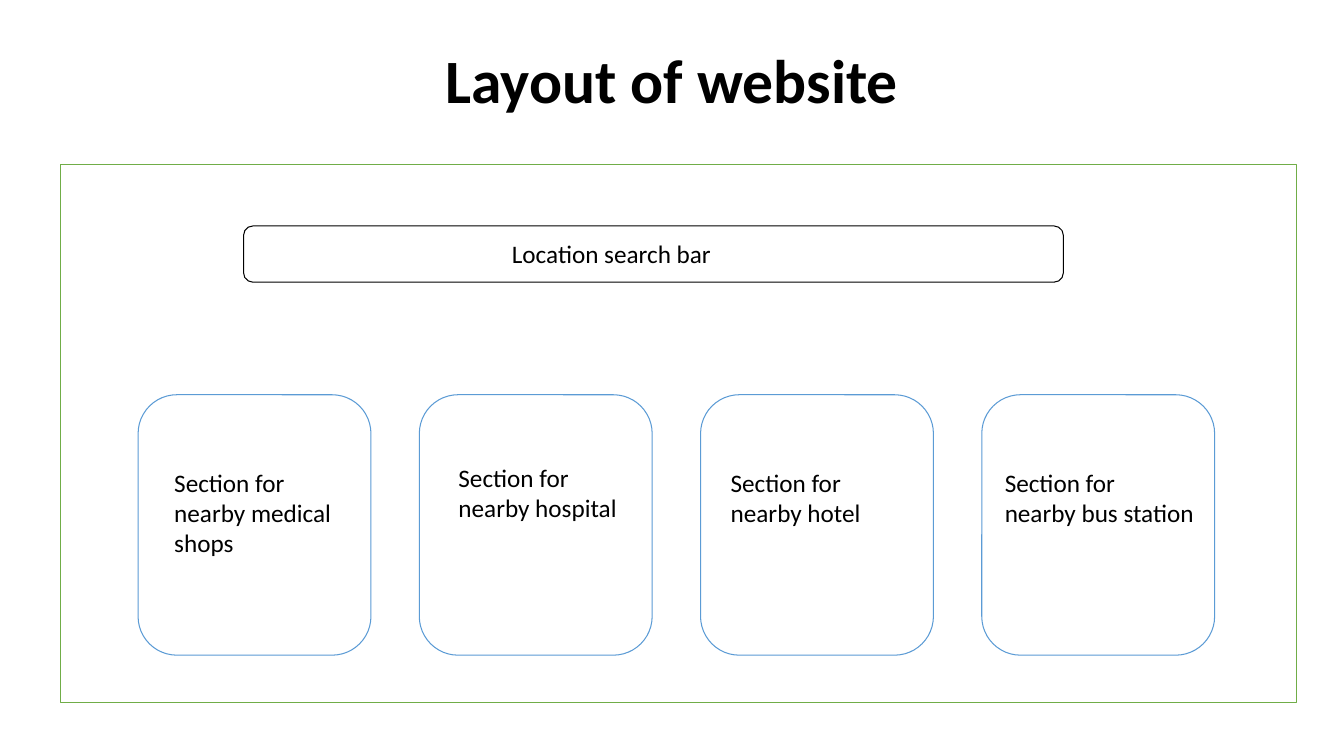
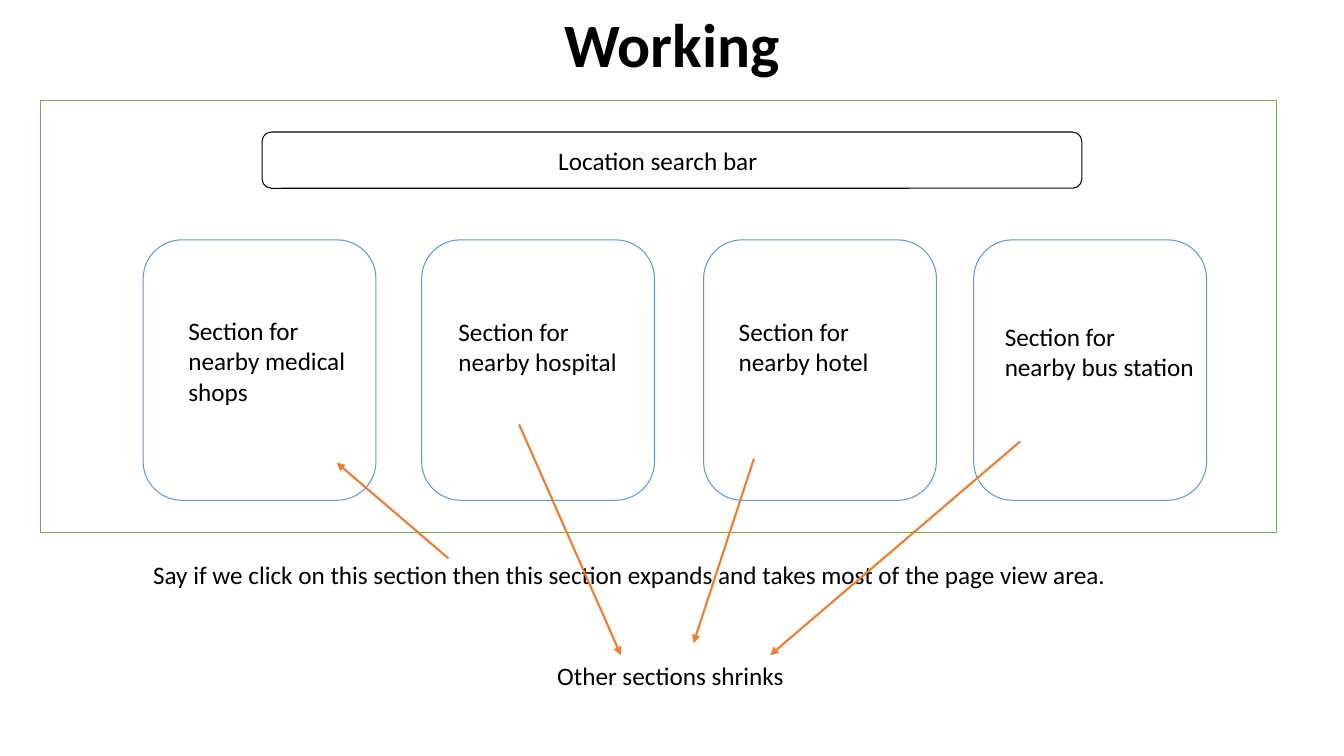
from dataclasses import dataclass
from lxml.etree import SubElement
from pptx import Presentation
from pptx.dml.color import RGBColor
from pptx.enum.shapes import MSO_CONNECTOR, MSO_SHAPE
from pptx.enum.text import MSO_ANCHOR, PP_ALIGN
from pptx.oxml.ns import qn
from pptx.util import Inches, Pt


@dataclass(frozen=True)
class Theme:
    font: str = "Calibri"
    ink: str = "000000"
    frame: str = "70AD47"
    card: str = "5B9BD5"
    arrow: str = "ED7D31"
    head: int = 44
    body: int = 18
    thin: float = 0.75
    thick: float = 1.5


COLS, ROWS = 80, 45
CARD = (13.86, 15.5)
BAR = (48.8, 3.35)
LABEL = (13.2, 2.4)

SECTIONS = [
    (["Section for", "nearby medical", "shops"], 10.68, 6.06),
    (["Section for", "nearby hospital"], 10.74, 6.06),
    (["Section for", "nearby hotel"], 9.06, 6.06),
    (["Section for", "nearby bus station"], 12.6, 4.26),
]

PAGES = [
    {
        "title": ("Layout of website", 0.6, 8.7),
        "frame": (3.6, 9.8, 73.6, 32),
        "bar": (14.5, 13.45),
        "label": (29.88, 13.92),
        "cards": [8.22 + 16.74 * i for i in range(4)],
        "top": 23.5,
        "texts": [(9.78, 27.5), (26.7, 27.2), (42.9, 27.5), (59.22, 27.5)],
        "notes": [],
        "arrows": [],
    },
    {
        "title": ("Working", 0, 5.64),
        "frame": (2.4, 6, 73.6, 25.7),
        "bar": (15.6, 7.86),
        "label": (32.64, 8.34),
        "cards": [8.52, 25.1, 41.88, 57.96],
        "top": 14.28,
        "texts": [(10.62, 18.48), (26.7, 18.54), (43.38, 18.54), (59.22, 18.84)],
        "notes": [
            ("Say if we click on this section then this section expands "
             "and takes most of the page view area.", (8.52, 33, 58.98, 2.4)),
            ("Other sections shrinks", (32.58, 39, 14.82, 2.4)),
        ],
        "arrows": [
            (26.7, 33.24, 20.04, 27.54),
            (30.9, 25.26, 36.96, 39),
            (44.88, 27.3, 41.28, 38.28),
            (60.72, 26.28, 45.84, 39),
        ],
    },
]


class Deck:
    def __init__(self, theme):
        self.theme = theme
        self.show = Presentation()
        self.show.slide_width = Inches(13.333)
        self.show.slide_height = Inches(7.5)
        self.slide = None

    def page(self):
        self.slide = self.show.slides.add_slide(self.show.slide_layouts[6])

    def place(self, *box):
        units = (self.show.slide_width / COLS, self.show.slide_height / ROWS)
        return [round(n * units[i % 2]) for i, n in enumerate(box)]

    def stroke(self, line, color, width):
        line.color.rgb = RGBColor.from_string(color)
        line.width = Pt(width)

    def shape(self, kind, color, *box):
        item = self.slide.shapes.add_shape(kind, *self.place(*box))
        item.shadow.inherit = False
        item.fill.background()
        self.stroke(item.line, color, self.theme.thin)

    def text(self, lines, box, size=None, bold=False, wrap=False, para=None,
             anchor=MSO_ANCHOR.TOP):
        frame = self.slide.shapes.add_textbox(*self.place(*box)).text_frame
        frame.word_wrap = wrap
        frame.vertical_anchor = anchor
        frame.text = "\n".join(lines)
        style = {"name": self.theme.font, "size": Pt(size or self.theme.body),
                 "bold": bold}
        for part in frame.paragraphs:
            for key, value in (para or {}).items():
                setattr(part, key, value)
            for run in part.runs:
                for key, value in style.items():
                    setattr(run.font, key, value)
                run.font.color.rgb = RGBColor.from_string(self.theme.ink)

    def title(self, words, top, height):
        self.text([words], (5.5, top, 69, height), self.theme.head, True, True,
                  {"alignment": PP_ALIGN.CENTER, "line_spacing": 0.9},
                  MSO_ANCHOR.MIDDLE)

    def arrow(self, *ends):
        item = self.slide.shapes.add_connector(
            MSO_CONNECTOR.STRAIGHT, *self.place(*ends))
        self.stroke(item.line, self.theme.arrow, self.theme.thick)
        props = item.line._get_or_add_ln()
        SubElement(props, qn("a:tailEnd"), type="triangle")
        SubElement(props.getparent(), qn("a:effectLst"))

    def mockup(self, plan):
        self.shape(MSO_SHAPE.RECTANGLE, self.theme.frame, *plan["frame"])
        for left in plan["cards"]:
            self.shape(MSO_SHAPE.ROUNDED_RECTANGLE, self.theme.card,
                       left, plan["top"], *CARD)
        self.shape(MSO_SHAPE.ROUNDED_RECTANGLE, self.theme.ink,
                   *plan["bar"], *BAR)
        self.text(["Location search bar"], (*plan["label"], *LABEL))
        for (lines, *size), spot in zip(SECTIONS, plan["texts"]):
            self.text(lines, (*spot, *size))


def main():
    deck = Deck(Theme())
    for plan in PAGES:
        deck.page()
        deck.title(*plan["title"])
        deck.mockup(plan)
        for words, box in plan["notes"]:
            deck.text([words], box)
        for ends in plan["arrows"]:
            deck.arrow(*ends)
    deck.show.save("out.pptx")


if __name__ == "__main__":
    main()
